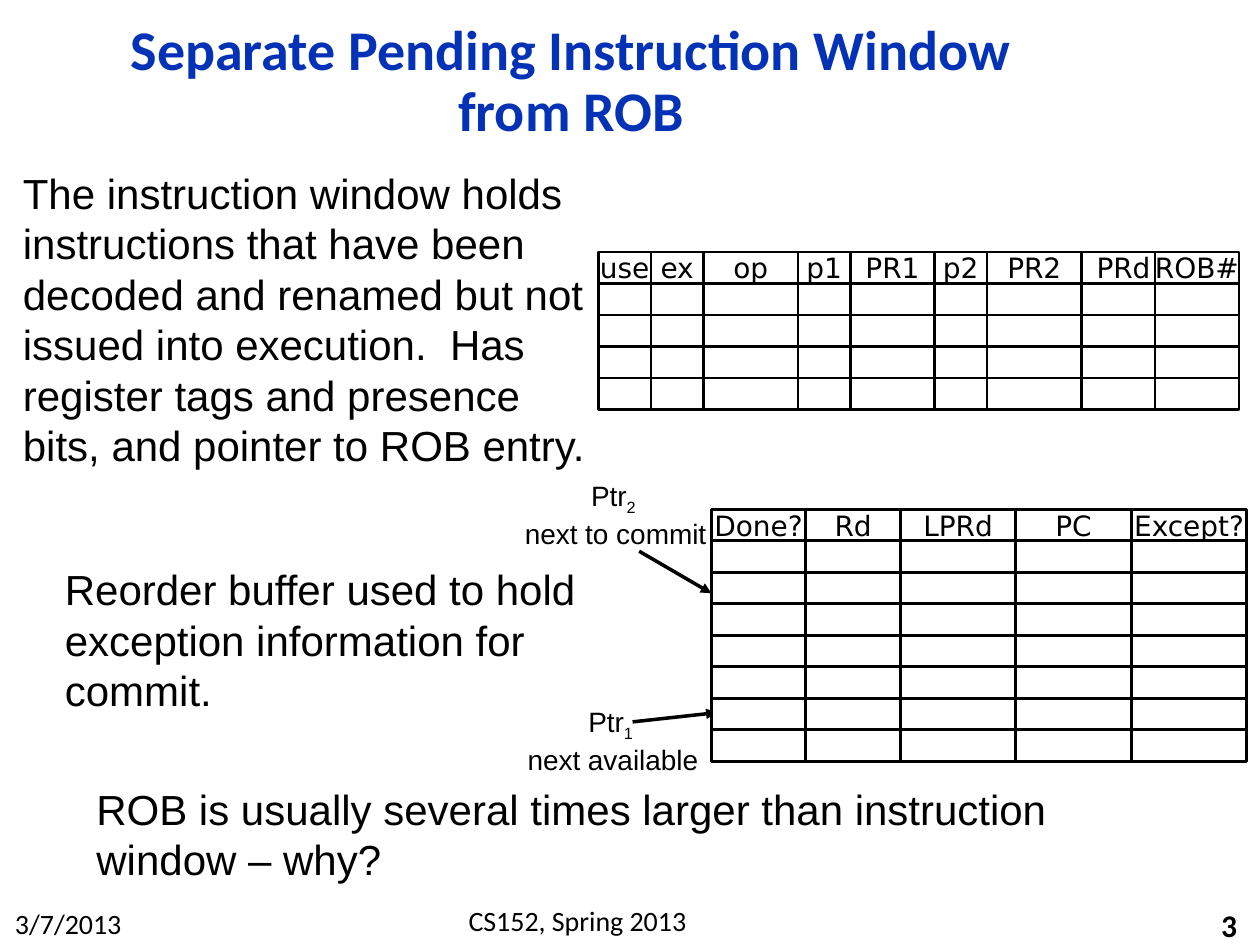
from lxml.etree import SubElement
from pptx import Presentation
from pptx.dml.color import RGBColor as Rgb
from pptx.enum.shapes import MSO_CONNECTOR as Link, MSO_SHAPE as Form
from pptx.enum.text import MSO_ANCHOR as Anchor, MSO_AUTO_SIZE as Fit, PP_ALIGN as Align
from pptx.oxml.ns import qn
from pptx.util import Emu, Pt

SCALE = 9525
COLORS = {"ink": "000000", "paper": "FFFFFF", "title": "0332B7"}


def px(*nums):
    return [Emu(num * SCALE) for num in nums]


def tint(name):
    return Rgb.from_string(COLORS[name])


class Deck:
    body = "Arial"
    head = "Calibri"
    cell = "DejaVu Sans"
    row = 24

    def __init__(self):
        self.prs = Presentation()
        self.prs.slide_width, self.prs.slide_height = px(960, 720)
        self.slide = self.prs.slides.add_slide(self.prs.slide_layouts[5])
        self.home = self.slide.shapes

    def group(self):
        self.home = self.slide.shapes.add_group_shape().shapes

    def top(self):
        self.home = self.slide.shapes

    def style(self, para, font, size, align, color="ink", bold=False):
        para.alignment = align
        for run in para.runs:
            run.font.name = font
            run.font.size = Pt(size)
            run.font.bold = bold
            run.font.color.rgb = tint(color)

    def title(self, text, box):
        shape = self.slide.shapes.title
        shape.left, shape.top, shape.width, shape.height = px(*box)
        frame = shape.text_frame
        frame.text = text
        frame.auto_size = Fit.NONE
        frame.vertical_anchor = Anchor.MIDDLE
        para = frame.paragraphs[0]
        para.line_spacing = 0.9
        self.style(para, self.head, 32, Align.CENTER, "title", True)

    def text(self, text, box, size=24, font=body, align=Align.LEFT, wrap=True,
             bold=False, anchor=Anchor.TOP):
        frame = self.home.add_textbox(*px(*box)).text_frame
        frame.text = text
        frame.word_wrap = wrap
        frame.vertical_anchor = anchor
        self.style(frame.paragraphs[0], font, size, align, bold=bold)
        return frame

    def label(self, index, note, box):
        para = self.text("Ptr", box, 16).paragraphs[0]
        sub = para.add_run()
        sub.text = index + " "
        para.add_line_break()
        para.add_run().text = note
        self.style(para, self.body, 16, Align.CENTER)
        sub.font._element.set("baseline", "-25000")

    def rect(self, text, box):
        shape = self.home.add_shape(Form.RECTANGLE, *px(*box))
        shape.shadow.inherit = False
        shape.fill.solid()
        shape.fill.fore_color.rgb = tint("paper")
        shape.line.color.rgb = tint("ink")
        shape.line.width = Pt(1.5)
        if text:
            frame = shape.text_frame
            frame.text = text
            frame.word_wrap = False
            frame.vertical_anchor = Anchor.MIDDLE
            self.style(frame.paragraphs[0], self.cell, 16, Align.CENTER)

    def grid(self, left, top, rows, cols):
        for name, width in cols:
            for row in range(rows):
                text = "" if row else name
                self.rect(text, (left, top + row * self.row, width, self.row))
            left += width

    def arrow(self, *ends):
        line = self.home.add_connector(Link.STRAIGHT, *px(*ends))
        line.line.color.rgb = tint("ink")
        line.line.width = Pt(2)
        SubElement(line.line._get_or_add_ln(), qn("a:tailEnd"), type="triangle")
        SubElement(line._element.spPr, qn("a:effectLst"))

    def save(self):
        self.prs.save("out.pptx")


def main():
    deck = Deck()
    deck.title("Separate Pending Instruction Window from ROB", (52, 24, 766, 78))
    deck.text("3/7/2013", (1, 686, 102, 36), 16, deck.head, Align.CENTER, False)
    deck.text("CS152, Spring 2013", (280, 684, 320, 36), 16, deck.head, Align.CENTER)
    deck.text("3", (752, 689, 200, 31), 18, deck.head, Align.RIGHT, False, True,
              Anchor.MIDDLE)
    deck.text("Reorder buffer used to hold exception information for commit.",
              (40, 425, 423, 126))
    deck.text("The instruction window holds instructions that have been decoded "
              "and renamed but not issued into execution.  Has register tags and "
              "presence bits, and pointer to ROB entry.", (8, 123, 454, 300))

    deck.group()
    deck.grid(456, 192, 5, [("use", 40), ("ex", 40), ("op", 72), ("p1", 40),
                            ("PR1", 64), ("p2", 40), ("PR2", 72), ("PRd", 64)])
    deck.grid(880, 192, 5, [("ROB#", 64)])

    deck.top()
    deck.text("ROB is usually several times larger than instruction window – why?",
              (64, 592, 832, 87))

    deck.group()
    deck.grid(614, 388, 8, [("Rd", 72), ("LPRd", 88), ("PC", 88), ("Except?", 88)])
    deck.label("2", "next to commit", (381, 360, 176, 61))
    deck.arrow(487, 420, 542, 452)
    deck.label("1", "next available", (391, 532, 152, 61))
    deck.arrow(482, 550, 546, 543)
    deck.grid(542, 388, 8, [("Done?", 72)])
    deck.save()


if __name__ == "__main__":
    main()
